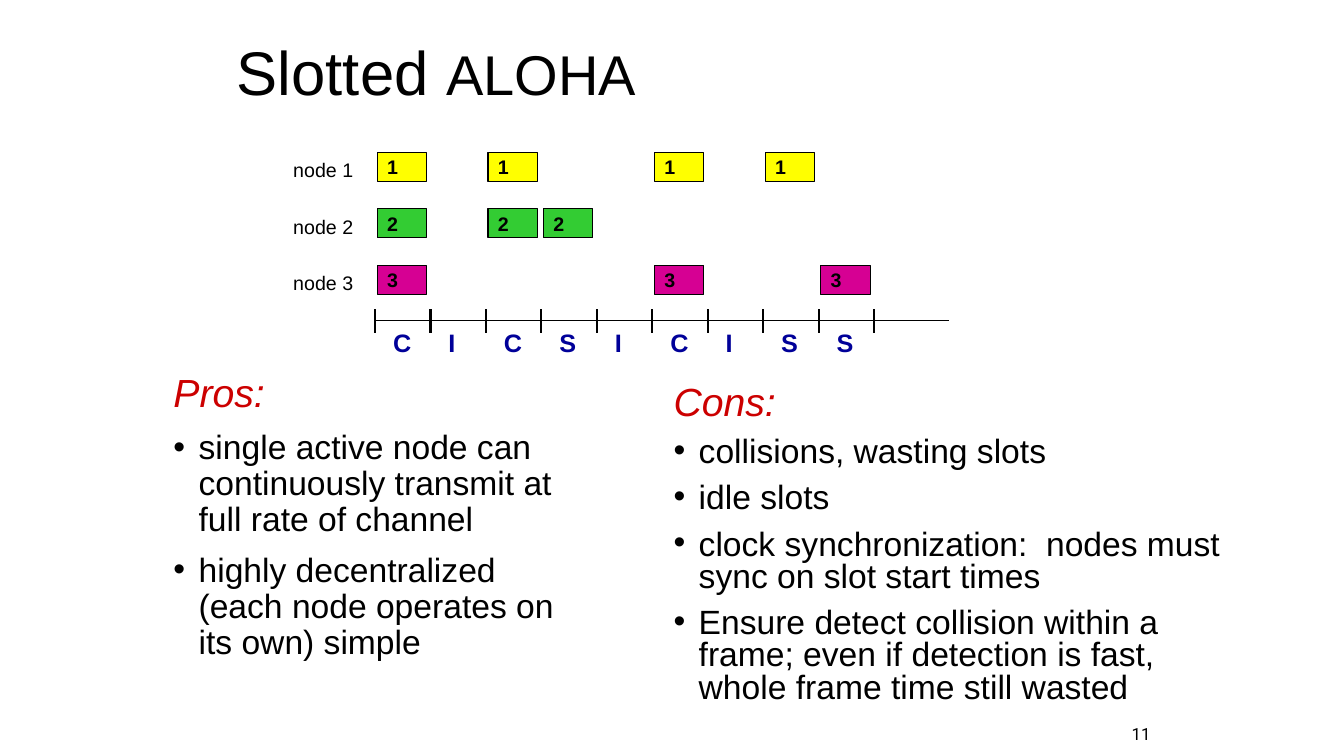
from lxml import etree
from pptx import Presentation
from pptx import util as u
from pptx.dml.color import RGBColor
from pptx.enum import shapes, text
from pptx.oxml.ns import qn

BLACK = RGBColor(0x00, 0x00, 0x00)
RED = RGBColor(0xCC, 0x00, 0x00)
NAVY = RGBColor(0x00, 0x00, 0x99)
YELLOW = RGBColor(0xFF, 0xFF, 0x00)
GREEN = RGBColor(0x33, 0xCC, 0x33)
MAGENTA = RGBColor(0xD6, 0x00, 0x93)

deck = Presentation()
deck.slide_width, deck.slide_height = u.Inches(13.33), u.Inches(7.5)
slide = deck.slides.add_slide(deck.slide_layouts[3])
title, pros, cons = slide.placeholders

SLOT, ROW = 0.55, 0.56
AXIS_LEFT, AXIS_TOP, AXIS_LENGTH = 3.72, 3.18, 5.69
NODES_TOP = 1.51


def style(paragraph, size, color=BLACK, bold=False, italic=False, face="Arial"):
    font = paragraph.font
    font.name, font.size, font.bold, font.italic = face, u.Pt(size), bold, italic
    font.color.rgb = color


def add_label(words, left, top, width, height, size, **look):
    label = slide.shapes.add_textbox(*map(u.Inches, (left, top, width, height)))
    label.text_frame.word_wrap = True
    label.text_frame.text = words
    style(label.text_frame.paragraphs[0], size, **look)
    return label.text_frame


title.left, title.top, title.width, title.height = map(u.Inches, (2.25, 0.12, 5.42, 1.25))
title.text_frame.auto_size = text.MSO_AUTO_SIZE.NONE
title.text_frame.vertical_anchor = text.MSO_ANCHOR.MIDDLE
heading = title.text_frame.paragraphs[0]
heading.alignment = text.PP_ALIGN.LEFT
heading.line_spacing = 0.9
style(heading, 44)
for words, size in (("Slotted ", 44), ("ALOHA", 40)):
    run = heading.add_run()
    run.text = words
    run.font.size = u.Pt(size)

arguments = [
    (pros, (1.62, 3.66, 4.3, 3.5), 0.9, [
        "Pros:",
        "single active node can continuously transmit at full rate of channel",
        "highly decentralized (each node operates on its own) simple",
    ]),
    (cons, (6.58, 3.78, 5.78, 3.5), 0.8, [
        "Cons:",
        "collisions, wasting slots",
        "idle slots",
        "clock synchronization:  nodes must sync on slot start times",
        "Ensure detect collision within a frame; even if detection is fast, "
        "whole frame time still wasted",
    ]),
]
for body, place, spacing, points in arguments:
    body.left, body.top, body.width, body.height = map(u.Inches, place)
    frame = body.text_frame
    frame.auto_size = text.MSO_AUTO_SIZE.NONE
    frame.text = "\n".join(points)
    for index, paragraph in enumerate(frame.paragraphs):
        paragraph.line_spacing = spacing
        paragraph.space_before = u.Pt(10 if index else 0)
        properties = paragraph._p.get_or_add_pPr()
        properties.set("marL", str(u.Inches(0.25)))
        properties.set("indent", str(-u.Inches(0.25)))
        if index:
            etree.SubElement(properties, qn("a:buFont")).set("typeface", "Arial")
            etree.SubElement(properties, qn("a:buChar")).set("char", "•")
            style(paragraph, 24)
        else:
            etree.SubElement(properties, qn("a:buNone"))
            style(paragraph, 28, RED, italic=True)

transmissions = [(YELLOW, (0, 2, 5, 7)), (GREEN, (0, 2, 3)), (MAGENTA, (0, 5, 8))]
for row, (color, slots) in enumerate(transmissions):
    top = NODES_TOP + row * ROW
    add_label(f"node {row + 1}", 2.81, top + 0.01, 0.85, 0.33, 14)
    for slot in slots:
        left = AXIS_LEFT + slot * SLOT + 0.02
        packet = slide.shapes.add_shape(
            shapes.MSO_SHAPE.RECTANGLE, *map(u.Inches, (left, top, 0.49, 0.29)))
        packet.shadow.inherit = False
        packet.fill.solid()
        packet.fill.fore_color.rgb = color
        packet.line.color.rgb = BLACK
        packet.line.width = u.Pt(0.75)
        frame = packet.text_frame
        frame.margin_top = frame.margin_bottom = 0
        frame.text = str(row + 1)
        style(frame.paragraphs[0], 14, bold=True)

outcomes = "CICSICISS"
timeline = [(AXIS_LEFT, AXIS_TOP, AXIS_LEFT + AXIS_LENGTH, AXIS_TOP, 0.75)]
for boundary in range(len(outcomes) + 1):
    x = AXIS_LEFT + boundary * SLOT
    timeline.append((x, AXIS_TOP - 0.11, x, AXIS_TOP + 0.12, 1.5))
for *ends, weight in timeline:
    mark = slide.shapes.add_connector(shapes.MSO_CONNECTOR.STRAIGHT, *map(u.Inches, ends))
    mark.line.color.rgb = BLACK
    mark.line.width = u.Pt(weight)
    etree.SubElement(mark._element.spPr, qn("a:effectLst"))

for slot, outcome in enumerate(outcomes):
    add_label(outcome, AXIS_LEFT + slot * SLOT + 0.08, AXIS_TOP + 0.02, 0.4, 0.4, 18,
              color=NAVY, bold=True)

page_number = add_label("11", 10.91, 7.13, 0.6, 0.3, 12, face="Roboto")
page_number.vertical_anchor = text.MSO_ANCHOR.MIDDLE
page_number.paragraphs[0].alignment = text.PP_ALIGN.RIGHT

deck.save("out.pptx")
